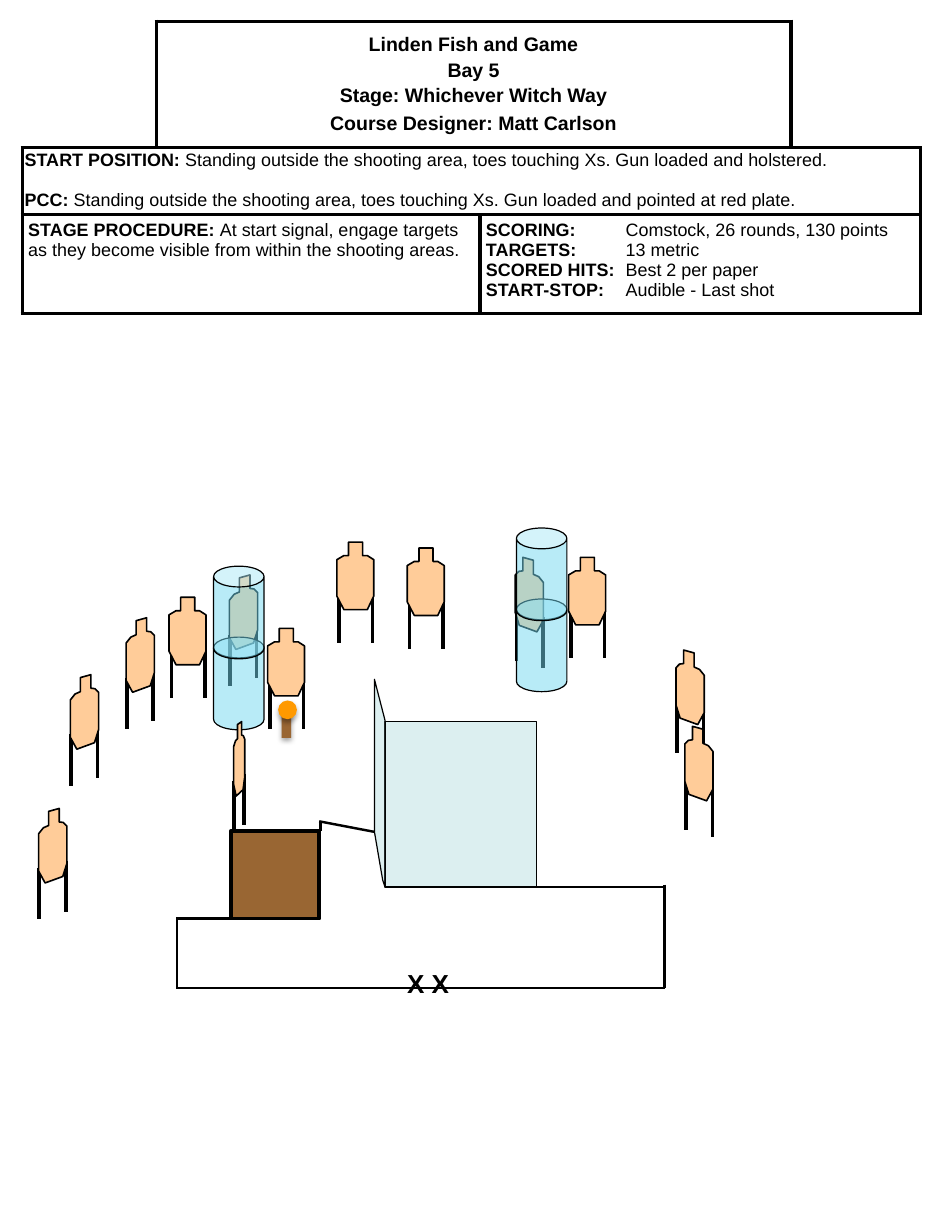
from dataclasses import dataclass

from lxml import etree
from pptx import Presentation
from pptx.dml.color import RGBColor
from pptx.enum.shapes import MSO_CONNECTOR, MSO_SHAPE
from pptx.enum.text import MSO_ANCHOR, PP_ALIGN
from pptx.oxml.ns import qn
from pptx.util import Inches, Pt

RECT, CAN, OVAL = MSO_SHAPE.RECTANGLE, MSO_SHAPE.CAN, MSO_SHAPE.OVAL
STRAIGHT = MSO_CONNECTOR.STRAIGHT
CENTER, LEFT = PP_ALIGN.CENTER, PP_ALIGN.LEFT
MIDDLE, TOP = MSO_ANCHOR.MIDDLE, MSO_ANCHOR.TOP
COLUMNS = 80


@dataclass(frozen=True)
class Theme:
    font: str = "Arial"
    ink: str = "000000"
    paper: str = "FFFFFF"
    card: str = "FFCC99"
    wood: str = "996633"
    barrel: str = "73D9F1"
    wall: str = "BBE0E3"
    plate: str = "FF9900"
    heading: float = 12
    body: float = 11
    mark: float = 16
    thick: float = 2.25
    medium: float = 1.5
    outline: float = 1
    thin: float = 0.75


FRONT = [(1, 0), (2.2, 0), (2.2, 1.15), (2.6, 1.15), (3.15, 1.5), (3.15, 4.6),
         (2.6, 5.75), (0.6, 5.75), (0, 4.6), (0, 1.5), (0.6, 1.15), (1, 1.15)]
FRONT_LEGS = [(0.2, 4.25), (3.05, 4.25)]
TURNED = [(0.85, 0.25), (1.75, 0), (1.75, 1.15), (2.1, 1.2), (2.4, 1.5), (2.4, 4.7),
          (2.05, 5.8), (0.55, 6.35), (0, 5.35), (0, 2.15), (0.4, 1.65), (0.85, 1.45)]
TURNED_LEGS = [(0.05, 5.1), (2.3, 4.45)]
TURNED_WIDTH, LEG = 2.4, 4.35


class StagePage:
    def __init__(self, deck, theme):
        self.theme = theme
        self.page = deck.slides.add_slide(deck.slide_layouts[6])
        self.shapes = self.page.shapes
        self.unit = deck.slide_width / COLUMNS

    def at(self, *cells):
        return [round(cell * self.unit) for cell in cells]

    def paint(self, shape, color, alpha=None, line=None, shadow=False):
        shape.shadow.inherit = False
        shape.fill.solid()
        shape.fill.fore_color.rgb = RGBColor.from_string(color)
        properties = shape.element.spPr
        if alpha:
            tint = properties.find(qn("a:solidFill"))[0]
            etree.SubElement(tint, qn("a:alpha"), val=str(alpha * 1000))
        if line:
            self.stroke(shape, line)
        else:
            shape.line.fill.background()
        if shadow:
            cast = etree.SubElement(properties.find(qn("a:effectLst")), qn("a:outerShdw"),
                                    blurRad=str(Pt(3.1)), dist=str(Pt(1.8)),
                                    dir="5400000", rotWithShape="0")
            tint = etree.SubElement(cast, qn("a:srgbClr"), val=self.theme.ink)
            etree.SubElement(tint, qn("a:alpha"), val="35000")

    def stroke(self, shape, width):
        shape.line.color.rgb = RGBColor.from_string(self.theme.ink)
        shape.line.width = Pt(width)

    def preset(self, kind, box, color, **look):
        shape = self.shapes.add_shape(kind, *self.at(*box))
        if kind == CAN:
            shape.adjustments[0] = 0.413
        self.paint(shape, color, **look)

    def outline(self, points, color, **look):
        corners = [self.at(*point) for point in points]
        builder = self.shapes.build_freeform(*corners[0])
        builder.add_line_segments(corners[1:], close=True)
        self.paint(builder.convert_to_shape(), color, **look)

    def line(self, start, end, width):
        rule = self.shapes.add_connector(STRAIGHT, *self.at(*start, *end))
        self.stroke(rule, width)
        etree.SubElement(rule.element.spPr, qn("a:effectLst"))

    def target(self, left, top, body, legs, place=lambda x: x):
        for x, y in legs:
            foot = left + place(x)
            self.line((foot, top + y), (foot, top + y + LEG), self.theme.thick)
        points = [(left + place(x), top + y) for x, y in body]
        self.outline(points, self.theme.card, line=self.theme.outline)

    def front(self, left, top):
        self.target(left, top, FRONT, FRONT_LEGS)

    def turned(self, left, top, width=TURNED_WIDTH):
        self.target(left, top, TURNED, TURNED_LEGS, lambda x: x * width / TURNED_WIDTH)

    def mirrored(self, left, top):
        self.target(left, top, TURNED, TURNED_LEGS, lambda x: TURNED_WIDTH - x)

    def barrels(self, left, top):
        for offset in (6.05, 0):
            self.preset(CAN, (left, top + offset, 4.3, 7.9), self.theme.barrel,
                        alpha=50, line=self.theme.thin)

    def add_spans(self, para, spans, size):
        for text, bold in spans:
            span = para.add_run()
            span.text = text
            span.font.name = self.theme.font
            span.font.size = Pt(size)
            span.font.bold = bold
            span.font.color.rgb = RGBColor.from_string(self.theme.ink)

    def label(self, box, text):
        frame = self.shapes.add_textbox(*self.at(*box)).text_frame
        frame.word_wrap = True
        self.add_spans(frame.paragraphs[0], [(text, True)], self.theme.mark)

    def table(self, box, widths, heights):
        table = self.shapes.add_table(len(heights), len(widths), *self.at(*box)).table
        table.first_row = table.horz_banding = False
        for column, width in zip(table.columns, self.at(*widths)):
            column.width = width
        for row, height in zip(table.rows, self.at(*heights)):
            row.height = height
        return table

    def border(self, cell, sides):
        properties = cell._tc.get_or_add_tcPr()
        for side in "LRTB":
            edge = etree.SubElement(properties, qn(f"a:ln{side}"), w=str(Pt(self.theme.thick)))
            if side in sides:
                fill = etree.SubElement(edge, qn("a:solidFill"))
                etree.SubElement(fill, qn("a:srgbClr"), val=self.theme.ink)
            else:
                etree.SubElement(edge, qn("a:noFill"))
        cell.fill.solid()
        cell.fill.fore_color.rgb = RGBColor.from_string(self.theme.paper)

    def fill_cell(self, cell, paras, size, gaps=(), inset=(0.05, 0.05), align=LEFT,
                  anchor=TOP, spacing=1.0, tab=None):
        cell.margin_left = cell.margin_right = Inches(inset[0])
        cell.margin_top = cell.margin_bottom = Inches(inset[1])
        cell.vertical_anchor = anchor
        frame = cell.text_frame
        for index, spans in enumerate(paras):
            para = frame.add_paragraph() if index else frame.paragraphs[0]
            if tab:
                stops = etree.SubElement(para._p.get_or_add_pPr(), qn("a:tabLst"))
                etree.SubElement(stops, qn("a:tab"), pos=str(Inches(tab)), algn="l")
            para.alignment = align
            para.line_spacing = spacing
            if index and gaps:
                para.space_before = Pt(gaps[index - 1])
            self.add_spans(para, spans, size)


def add_briefing(stage):
    theme = stage.theme
    table = stage.table((1.9, 1.8, 76.5, 24.9), (11.4, 27.6, 26.5, 11), (10.8, 5.7, 8.4))
    for row in range(3):
        for column in range(4):
            sides = {0: "RB", 3: "LB"}.get(column, "LRTB") if row == 0 else "LRTB"
            stage.border(table.cell(row, column), sides)
    for row, first, last in ((0, 1, 2), (1, 0, 3), (2, 0, 1), (2, 2, 3)):
        table.cell(row, first).merge(table.cell(row, last))

    heading = ["Linden Fish and Game", "Bay 5", "Stage: Whichever Witch Way",
               "Course Designer: Matt Carlson"]
    stage.fill_cell(table.cell(0, 1), [[(text, True)] for text in heading], theme.heading,
                    gaps=(2, 2, 4), align=CENTER, anchor=MIDDLE)
    start = [
        [("START POSITION:", True),
         (" Standing outside the shooting area, toes touching Xs. "
          "Gun loaded and holstered.", False)],
        [("PCC: ", True),
         ("Standing outside the shooting area, toes touching Xs. "
          "Gun loaded and pointed at red plate.", False)],
    ]
    stage.fill_cell(table.cell(1, 0), start, theme.body, gaps=(13,), inset=(0.02, 0.04),
                    spacing=0.9)
    procedure = [("STAGE PROCEDURE: ", True),
                 ("At start signal, engage targets as they become visible "
                  "from within the shooting areas.", False)]
    stage.fill_cell(table.cell(2, 0), [procedure], theme.body)
    scoring = {"SCORING:": "Comstock, 26 rounds, 130 points", "TARGETS:": "13 metric",
               "SCORED HITS:": "Best 2 per paper", "START-STOP:": "Audible - Last shot"}
    stage.fill_cell(table.cell(2, 2),
                    [[(name, True), ("\t" + value, False)] for name, value in scoring.items()],
                    theme.body, tab=1.19)


def add_course(stage):
    theme = stage.theme
    stage.preset(RECT, (19.7, 70.8, 7.5, 7.5), theme.wood, line=theme.thick)
    stage.barrels(18.2, 48.25)
    stage.front(14.4, 50.9)
    stage.preset(RECT, (32.8, 61.5, 12.9, 14.1), theme.wall, alpha=50, line=theme.thin)
    for start, end in (((15, 78.3), (19.7, 78.3)), ((15.1, 78.3), (15.1, 84.2)),
                       ((15, 84.2), (56.7, 84.2))):
        stage.line(start, end, theme.medium)
    for left, top in ((3.3, 68.9), (6, 57.5), (10.75, 52.65)):
        stage.turned(left, top)
    stage.line((27.2, 70), (31.9, 70.9), theme.medium)
    stage.line((27.3, 70.8), (27.3, 70), theme.medium)
    stage.turned(19.9, 61.5, 0.95)
    stage.front(22.8, 53.55)
    stage.outline([(32.6, 75), (31.9, 70.9), (31.9, 57.9), (32.8, 61.4), (32.8, 75.6)],
                  theme.wall, alpha=50, line=theme.thin)
    stage.barrels(44, 45)
    for left, top in ((28.7, 46.2), (34.7, 46.7), (48.45, 47.5)):
        stage.front(left, top)
    stage.line((45.7, 75.6), (56.7, 75.6), theme.medium)
    stage.line((56.6, 75.4), (56.6, 84.2), theme.medium)
    stage.mirrored(58.35, 61.9)
    stage.label((33.7, 82, 5.8, 3.7), "X X")
    stage.preset(RECT, (24, 60.7, 0.8, 2.2), theme.wood, shadow=True)
    stage.preset(OVAL, (23.7, 59.7, 1.6, 1.6), theme.plate, shadow=True)


def main():
    deck = Presentation()
    deck.slide_width, deck.slide_height = Inches(8), Inches(10.5)
    stage = StagePage(deck, Theme())
    stage.mirrored(57.6, 55.4)
    stage.mirrored(43.9, 47.5)
    stage.turned(19.55, 49)
    add_briefing(stage)
    add_course(stage)
    deck.save("out.pptx")


if __name__ == "__main__":
    main()
